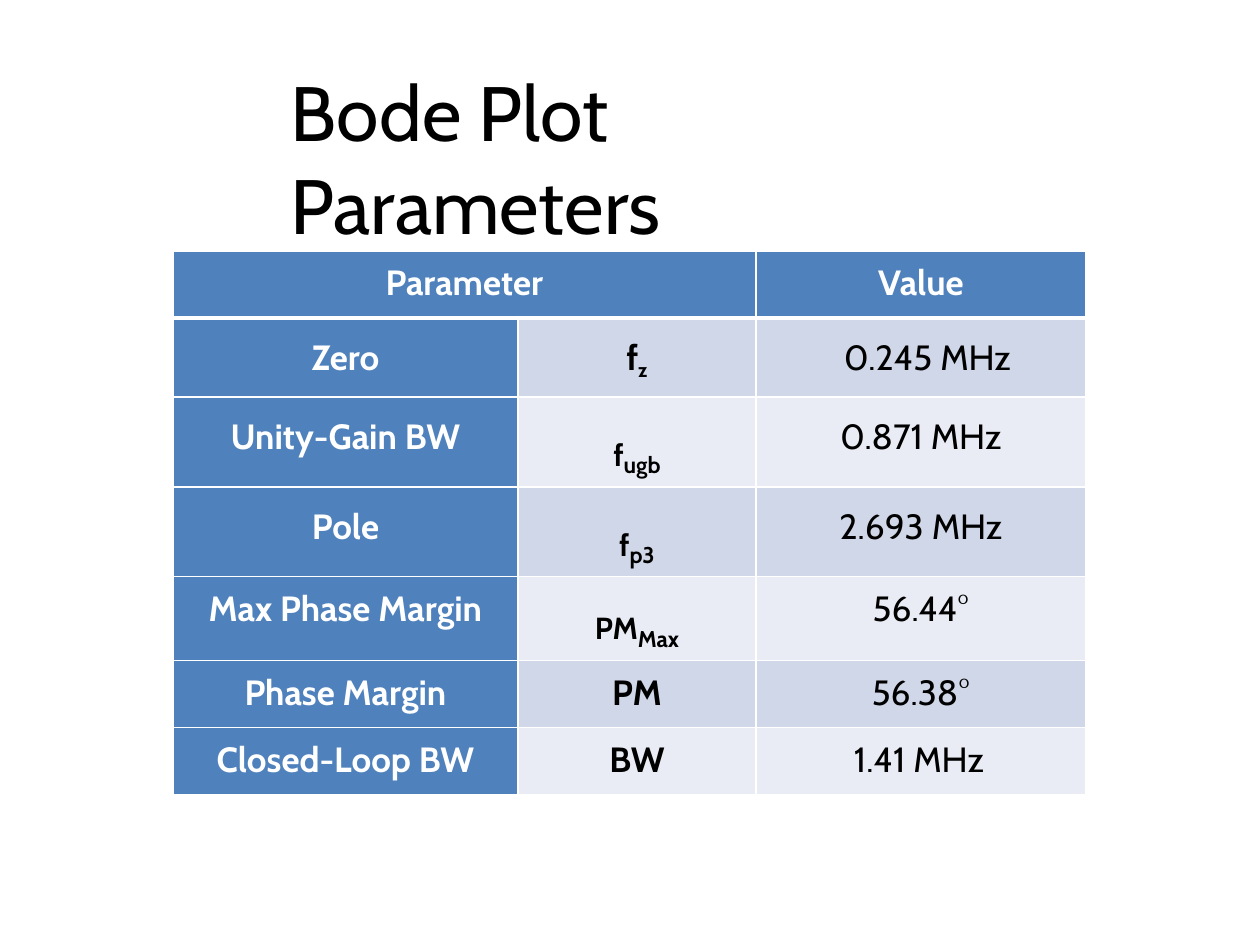
from lxml import etree
from pptx import Presentation
from pptx.dml.color import RGBColor
from pptx.enum.text import MSO_ANCHOR, MSO_AUTO_SIZE, PP_ALIGN
from pptx.oxml.ns import qn
from pptx.util import Pt

PX = 914400 // 126
FONT = "Cabin"
BLUE, WHITE, BLACK = "4F81BC", "FFFFFF", "000000"
BANDS = ["D0D7E8", "E9ECF4"]

TITLE = "Bode Plot Parameters"
HEADER = ["Parameter", "", "Value"]
# name, symbol, subscript, value, row height, top inset, symbol top inset, value indent
ROWS = [
    ("Zero", "f", "z", "0.245 MHz", 79, 19, 19, 88),
    ("Unity-Gain BW", "f", "ugb", "0.871 MHz", 79, 19, 26, 0),
    ("Pole", "f", "p3", "2.693 MHz", 79, 19, 26, 0),
    ("Max Phase Margin", "PM", "Max", "56.44°", 67, 11, 20, 0),
    ("Phase Margin", "PM", "", "56.38°", 67, 11, 11, 0),
    ("Closed-Loop BW", "BW", "", "1.41 MHz", 67, 11, 11, 98),
]
COLS = [345, 238, 330]
HEAD_H, HEAD_INSET = 67, 11


def px(n):
    return n * PX


def rgb(color):
    return RGBColor.from_string(color)


def set_borders(cell, top=1, bottom=1):
    tcPr = cell._tc.get_or_add_tcPr()
    for side, width in (("L", 1), ("R", 1), ("T", top), ("B", bottom)):
        ln = etree.SubElement(tcPr, qn(f"a:ln{side}"), w=str(Pt(width)))
        fill = etree.SubElement(ln, qn("a:solidFill"))
        etree.SubElement(fill, qn("a:srgbClr"), val=WHITE)


def fill_cell(cell, runs, fill, color, inset, bold=True, indent=0, top=1, bottom=1):
    """Each run is (text, size, baseline in percent)."""
    set_borders(cell, top, bottom)
    cell.fill.solid()
    cell.fill.fore_color.rgb = rgb(fill)
    cell.margin_left = cell.margin_right = cell.margin_bottom = 0
    cell.margin_top = px(inset)
    p = cell.text_frame.paragraphs[0]
    p.alignment = PP_ALIGN.LEFT if indent else PP_ALIGN.CENTER
    if indent:
        p._p.get_or_add_pPr().set("marL", str(px(indent)))
    for text, size, baseline in runs:
        r = p.add_run()
        r.text = text
        r.font.name, r.font.size, r.font.bold = FONT, Pt(size), bold
        r.font.color.rgb = rgb(color)
        if baseline:
            r._r.get_or_add_rPr().set("baseline", str(baseline * 1000))


def symbol_runs(symbol, sub):
    if not sub:
        return [(symbol, 20, 0)]
    if sub == "z":
        return [(symbol, 20, 0), (sub, 19.5, -21)]
    return [(symbol, 30, 14), (sub, 13, 0)]


prs = Presentation()
prs.slide_width, prs.slide_height = px(1260), px(945)
s = prs.slides.add_slide(prs.slide_layouts[5])

# Title
title = s.shapes.title
title.left, title.top, title.width, title.height = px(290), px(64), px(680), px(96)
tf = title.text_frame
tf.text = TITLE
tf.word_wrap = True
tf.auto_size = MSO_AUTO_SIZE.NONE
tf.vertical_anchor = MSO_ANCHOR.TOP
tf.margin_left = tf.margin_top = px(1)
tf.margin_right = tf.margin_bottom = 0
p = tf.paragraphs[0]
p.alignment = PP_ALIGN.LEFT
p.font.name, p.font.size = FONT, Pt(44)
p.font.color.rgb = rgb(BLACK)

# Table grid
heights = [HEAD_H] + [row[4] for row in ROWS]
table = s.shapes.add_table(len(heights), len(COLS), px(173), px(251),
                           px(sum(COLS)), px(sum(heights))).table
for column, width in zip(table.columns, COLS):
    column.width = px(width)
for row, height in zip(table.rows, heights):
    row.height = px(height)

# Header row
table.cell(0, 0).merge(table.cell(0, 1))
for c, text in enumerate(HEADER):
    runs = [(text, 20, 0)] if text else []
    fill_cell(table.cell(0, c), runs, BLUE, WHITE, HEAD_INSET, bottom=3)

# Parameter rows
for i, (name, symbol, sub, value, _, inset, sym_inset, indent) in enumerate(ROWS):
    band = BANDS[i % 2]
    top = 1 if i else 3
    name_cell, symbol_cell, value_cell = table.rows[i + 1].cells
    fill_cell(name_cell, [(name, 20, 0)], BLUE, WHITE, inset, top=top)
    fill_cell(symbol_cell, symbol_runs(symbol, sub), band, BLACK, sym_inset, top=top)
    fill_cell(value_cell, [(value, 20, 0)], band, BLACK, inset,
              bold=False, indent=indent, top=top)

prs.save("out.pptx")
